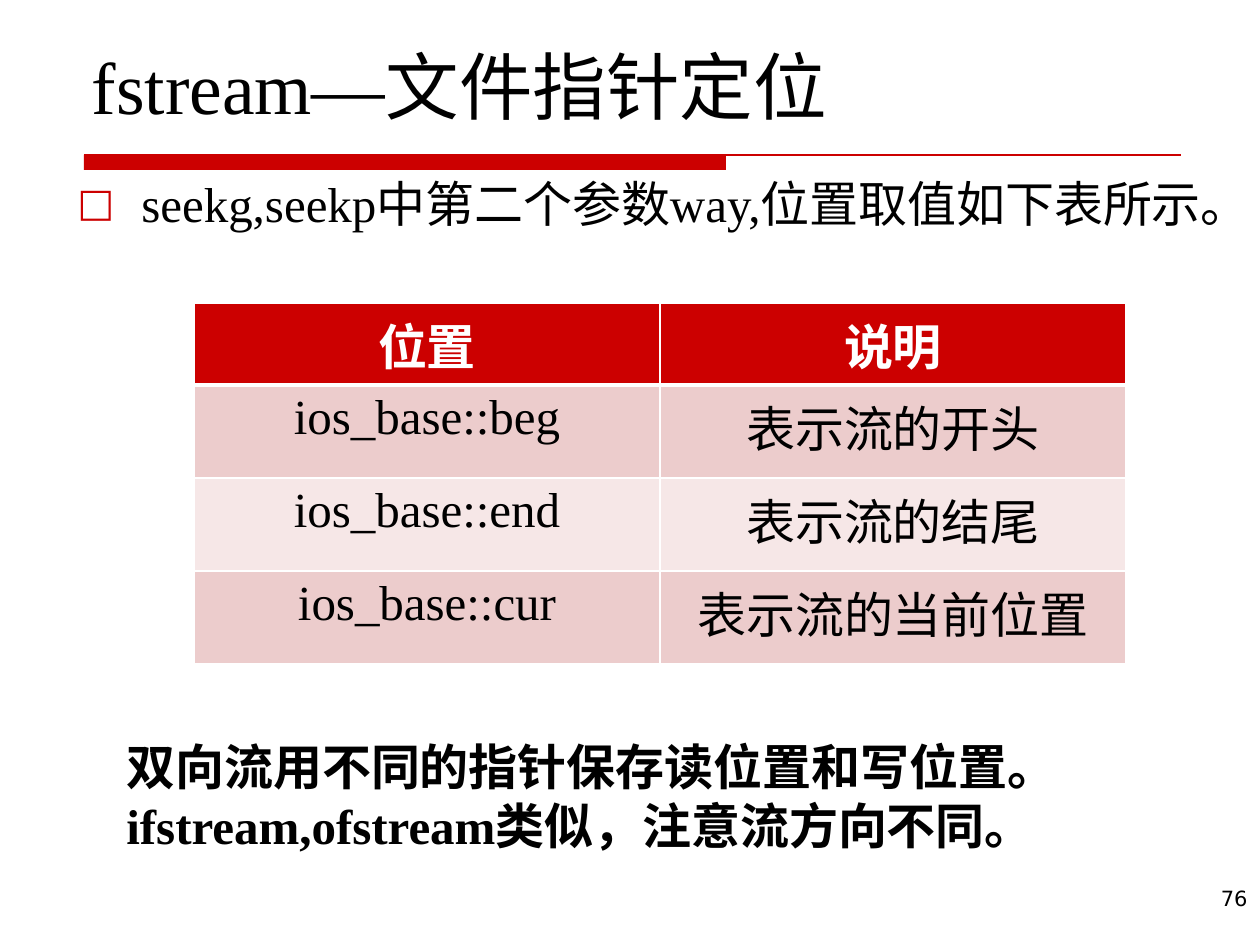
"""Builds the slide on positioning the fstream file pointer."""
from lxml.etree import SubElement
from pptx import Presentation
from pptx.dml.color import RGBColor
from pptx.enum.shapes import MSO_CONNECTOR, MSO_SHAPE
from pptx.enum.text import MSO_ANCHOR, MSO_AUTO_SIZE, PP_ALIGN
from pptx.oxml.ns import qn
from pptx.util import Emu, Pt

RED, BLACK, WHITE = "CC0000", "000000", "FFFFFF"
BANDS = ["ECCCCC", "F6E7E7"]
SERIF, SANS = "Times New Roman", "DejaVu Sans"


def px(*lengths):
    return [Emu(round(length * 914400 / 126)) for length in lengths]


def write(frame, text, size=28, color=BLACK, font=SERIF, bold=False, align=PP_ALIGN.LEFT):
    frame.text = text
    frame.word_wrap = True
    for paragraph in frame.paragraphs:
        paragraph.alignment = align
        for run in paragraph.runs:
            run.font.size = Pt(size)
            run.font.name = font
            run.font.bold = bold
            run.font.color.rgb = RGBColor.from_string(color)


presentation = Presentation()
presentation.slide_width, presentation.slide_height = px(1260, 945)
slide = presentation.slides.add_slide(presentation.slide_layouts[5])
shapes = slide.shapes

bar = shapes.add_shape(MSO_SHAPE.RECTANGLE, *px(84, 155, 642, 15))
bar.shadow.inherit = False
bar.fill.solid()
bar.fill.fore_color.rgb = RGBColor.from_string(RED)
bar.line.fill.background()

rule = shapes.add_connector(MSO_CONNECTOR.STRAIGHT, *px(84, 155, 1181, 155))
rule.line.color.rgb = RGBColor.from_string(RED)
rule.line.width = Pt(0.75)
SubElement(rule._element.spPr, qn("a:effectLst"))

title = shapes.title
title.left, title.top, title.width, title.height = px(79, 43, 1102, 93)
write(title.text_frame, "fstream—文件指针定位", size=42)
title.text_frame.vertical_anchor = MSO_ANCHOR.BOTTOM
title.text_frame.auto_size = MSO_AUTO_SIZE.NONE

intro = shapes.add_textbox(*px(65, 167, 1150, 131)).text_frame
write(intro, "seekg,seekp中第二个参数way,位置取值如下表所示。")
bullet = intro.paragraphs[0]._p.get_or_add_pPr()
indent = px(64)[0]
bullet.set("marL", str(indent))
bullet.set("indent", str(-indent))
SubElement(SubElement(bullet, qn("a:buClr")), qn("a:srgbClr"), val=RED)
SubElement(bullet, qn("a:buSzPct"), val="80000")
SubElement(bullet, qn("a:buFont"), typeface=SANS)
SubElement(bullet, qn("a:buChar"), char="□")

write(shapes.add_textbox(*px(990, 879, 270, 66)).text_frame, "76",
      size=12, font=SANS, align=PP_ALIGN.RIGHT)

positions = [
    ("位置", "说明"),
    ("ios_base::beg", "表示流的开头"),
    ("ios_base::end", "表示流的结尾"),
    ("ios_base::cur", "表示流的当前位置"),
]
table = shapes.add_table(4, 2, *px(194, 303, 932, 361)).table
for column in table.columns:
    column.width = px(466)[0]
for r, texts in enumerate(positions):
    header = r == 0
    table.rows[r].height = px(82 if header else 93)[0]
    for c, text in enumerate(texts):
        cell = table.cell(r, c)
        write(cell.text_frame, text, color=WHITE if header else BLACK,
              bold=header, align=PP_ALIGN.CENTER)
        if not text.isascii():
            cell.text_frame.paragraphs[0].space_before = Pt(5.6)
        for side in "LRTB":
            thick = (r, side) in [(0, "B"), (1, "T")]
            edge = SubElement(cell._tc.get_or_add_tcPr(), qn(f"a:ln{side}"),
                              w=str(Pt(3 if thick else 1)))
            SubElement(SubElement(edge, qn("a:solidFill")), qn("a:srgbClr"), val=WHITE)
        cell.fill.solid()
        cell.fill.fore_color.rgb = RGBColor.from_string(RED if header else BANDS[(r - 1) % 2])

write(shapes.add_textbox(*px(114, 730, 1012, 131)).text_frame,
      "双向流用不同的指针保存读位置和写位置。\nifstream,ofstream类似，注意流方向不同。", bold=True)

presentation.save("out.pptx")
